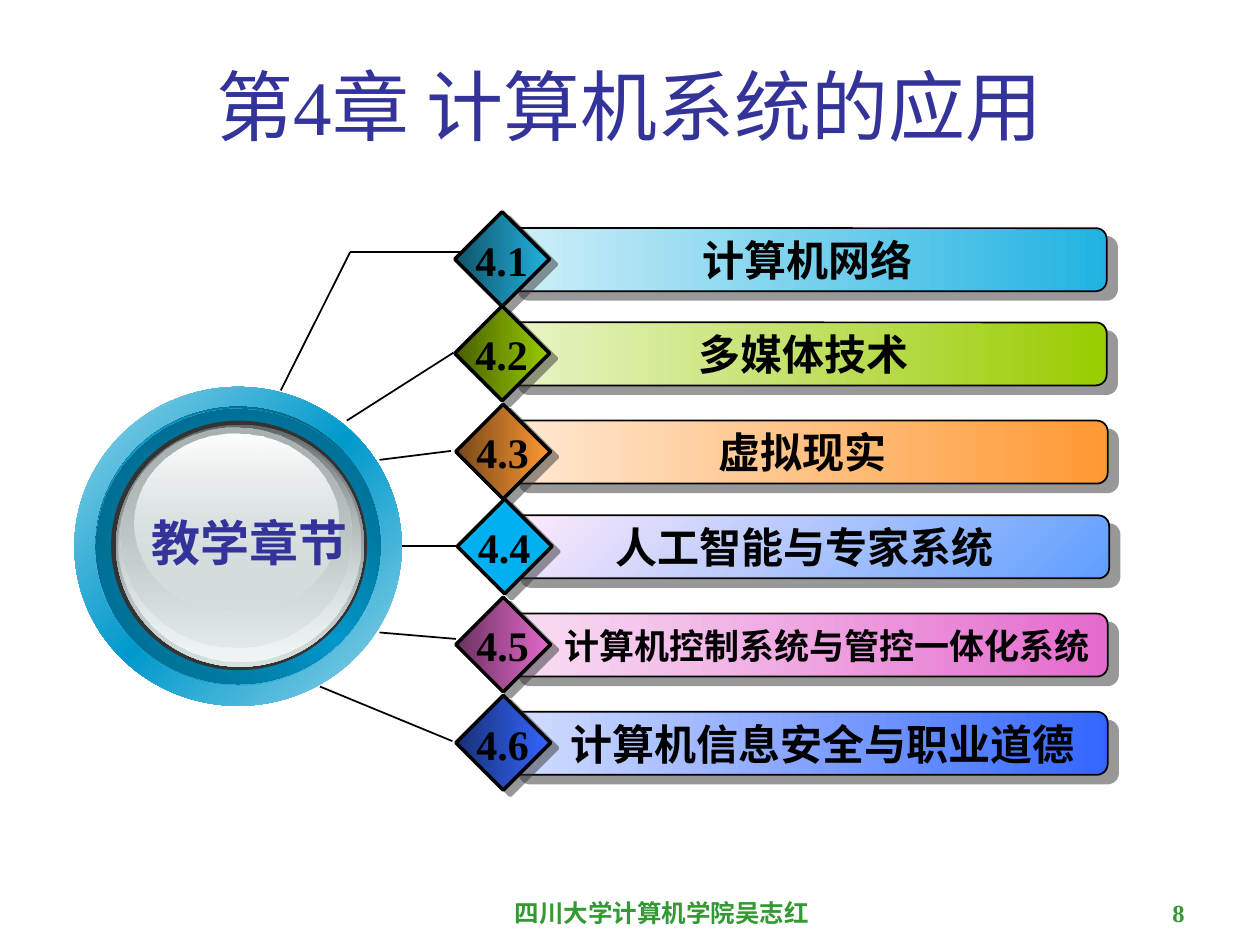
"""Build the chapter 4 overview slide: a glossy disc linked to six section bars."""
from lxml import etree
from pptx import Presentation
from pptx import util as u
from pptx.dml.color import RGBColor
from pptx.enum import shapes, text
from pptx.oxml import ns

rgb = RGBColor.from_string
Cm, Pt = u.Cm, u.Pt
kind, side, mid = shapes.MSO_SHAPE, text.PP_ALIGN, text.MSO_ANCHOR
serif, sans = "Times New Roman", "Noto Sans CJK SC"

deck = Presentation()
deck.slide_width, deck.slide_height = Cm(25.4), Cm(19.05)
slide = deck.slides.add_slide(deck.slide_layouts[6])
items = slide.shapes


def form(geom, box, stops, angle, width=0, drop=0, turn=0):
    shape = items.add_shape(geom, *map(Cm, box))
    shape.shadow.inherit = False
    if len(stops) == 1:
        shape.fill.solid()
        shape.fill.fore_color.rgb = rgb(stops[0][0])
    else:
        shape.fill.gradient()
        grad = shape._element.spPr.find(ns.qn("a:gradFill"))
        for child in list(grad):
            grad.remove(child)
        chain = etree.SubElement(grad, ns.qn("a:gsLst"))
        for i, (tone, alpha) in enumerate(stops):
            pos = 100000 * i // (len(stops) - 1)
            stop = etree.SubElement(chain, ns.qn("a:gs"), pos=str(pos))
            hue = etree.SubElement(stop, ns.qn("a:srgbClr"), val=tone)
            etree.SubElement(hue, ns.qn("a:alpha"), val=str(alpha * 1000))
        etree.SubElement(grad, ns.qn("a:lin"), ang=str(angle * 60000), scaled="0")
    if width:
        shape.line.color.rgb = rgb("000000")
        shape.line.width = Pt(width)
    else:
        shape.line.fill.background()
    if drop:
        glow = shape._element.spPr.find(ns.qn("a:effectLst"))
        cast = etree.SubElement(glow, ns.qn("a:outerShdw"), dist=str(Pt(drop)),
                                dir=str(turn * 60000), algn="ctr", rotWithShape="0")
        hue = etree.SubElement(cast, ns.qn("a:srgbClr"), val="333333")
        etree.SubElement(hue, ns.qn("a:alpha"), val="50000")
    return shape


def write(words, box, size, tone, font=serif, bold=True, align=side.CENTER,
          anchor=mid.MIDDLE, inset=0.25):
    frame = items.add_textbox(*map(Cm, box)).text_frame
    frame.word_wrap, frame.vertical_anchor = True, anchor
    frame.margin_left = frame.margin_right = Cm(inset)
    para = frame.paragraphs[0]
    para.alignment = align
    run = para.add_run()
    run.text = words
    run.font.size, run.font.bold, run.font.name = Pt(size), bold, font
    run.font.color.rgb = rgb(tone)
    etree.SubElement(run.font._element, ns.qn("a:ea"), typeface=sans)


write("第4章 计算机系统的应用", (1.88, 0.53, 21.64, 3.18), 44, "333399", bold=False)
write("四川大学计算机学院吴志红", (9.32, 17.98, 8.05, 0.84), 14, "339933", anchor=mid.BOTTOM)
write("8", (19.05, 17.98, 5.08, 0.84), 14, "339933", align=side.RIGHT, anchor=mid.BOTTOM)

discs = [
    ((1.5, 7.8, 6.6, 6.43), [("93D4E9", 100), ("0099CC", 100), ("93D4E9", 100)], 45),
    ((1.93, 8.2, 5.74, 5.59), [("00536E", 100), ("0099CC", 100), ("00536E", 100)], 315),
    ((1.93, 8.23, 5.74, 5.59), [("006182", 100), ("0099CC", 0)], 45),
    ((2.24, 8.48, 5.16, 5.03), [("333333", 100)], 0),
    ((2.34, 8.56, 5, 4.88), [("636869", 100), ("D6E1E2", 100)], 90),
    ((2.39, 8.59, 4.88, 4.75), [("D6E1E2", 0), ("F1F5F5", 100)], 90),
    ((2.44, 8.61, 4.65, 4.45), [("AAB2B3", 100), ("D6E1E2", 48)], 90),
    ((2.72, 8.74, 4.11, 3.61), [("FFFFFF", 100), ("D6E1E2", 38)], 90),
]
for box, stops, angle in discs:
    form(kind.OVAL, box, stops, angle)
write("教学章节", (2.8, 10.21, 4.45, 1.45), 28, "333399", inset=0)

links = [
    (5.66, 7.87, 7.06, 5.08), (7.06, 5.08, 9.3, 5.08), (6.99, 8.48, 9.14, 7.11),
    (7.65, 9.27, 9.09, 9.09), (8.1, 11, 9.3, 11), (7.65, 12.75, 9.19, 12.88),
    (6.45, 13.84, 9.12, 14.94),
]
for ends in links:
    link = items.add_connector(shapes.MSO_CONNECTOR.STRAIGHT, *map(Cm, ends))
    link.line.color.rgb = rgb("000000")
    link.line.width = Pt(1)
    etree.SubElement(link._element.spPr, ns.qn("a:effectLst"))

rows = [
    ("计算机网络", 24, 10.24, 4.6, 11.51, 9.53, ("D0EFF9", "21B3E1"), 0, ("0F5368", "21B3E1")),
    ("多媒体技术", 24, 10.24, 6.5, 12.75, 6.88, ("E9F4C9", "99CC00"), 0, ("475E00", "99CC00")),
    ("虚拟现实", 24, 10.26, 8.48, 11.94, 8.48, ("FFE9D4", "FF9933"), 0, ("764718", "FF9933")),
    ("人工智能与专家系统", 24, 10.29, 10.39, 11.46, 9.53, ("5E9EFF", "FFEBFA"), 225, ("00B0F0",)),
    ("计算机控制系统与管控一体化系统", 20, 10.26, 12.37, 11.05, 11.25,
     ("F9DFF4", "E46ACD"), 0, ("6A315F", "E46ACD")),
    ("计算机信息安全与职业道德", 24, 10.26, 14.35, 11.05, 11.05,
     ("D4DFFF", "3366FF"), 0, ("182F76", "3366FF")),
]
for n, (name, size, left, top, start, span, tones, angle, gem) in enumerate(rows, 1):
    bar = form(kind.ROUNDED_RECTANGLE, (left, top, 12.07, 1.27),
               [(tone, 100) for tone in tones], angle, 1, 7.8, 40)
    bar.adjustments[0] = 0.17
    form(kind.DIAMOND, (left - 1.07, top - 0.33, 1.91, 1.91),
         [(tone, 100) for tone in gem], 0, 2, 5, 37)
    write(name, (start, top, span, 1.27), size, "000000", sans)
    write(f"4.{n}", (left - 0.9, top, 1.55, 1.27), 24, "000000", inset=0)

deck.save("out.pptx")
